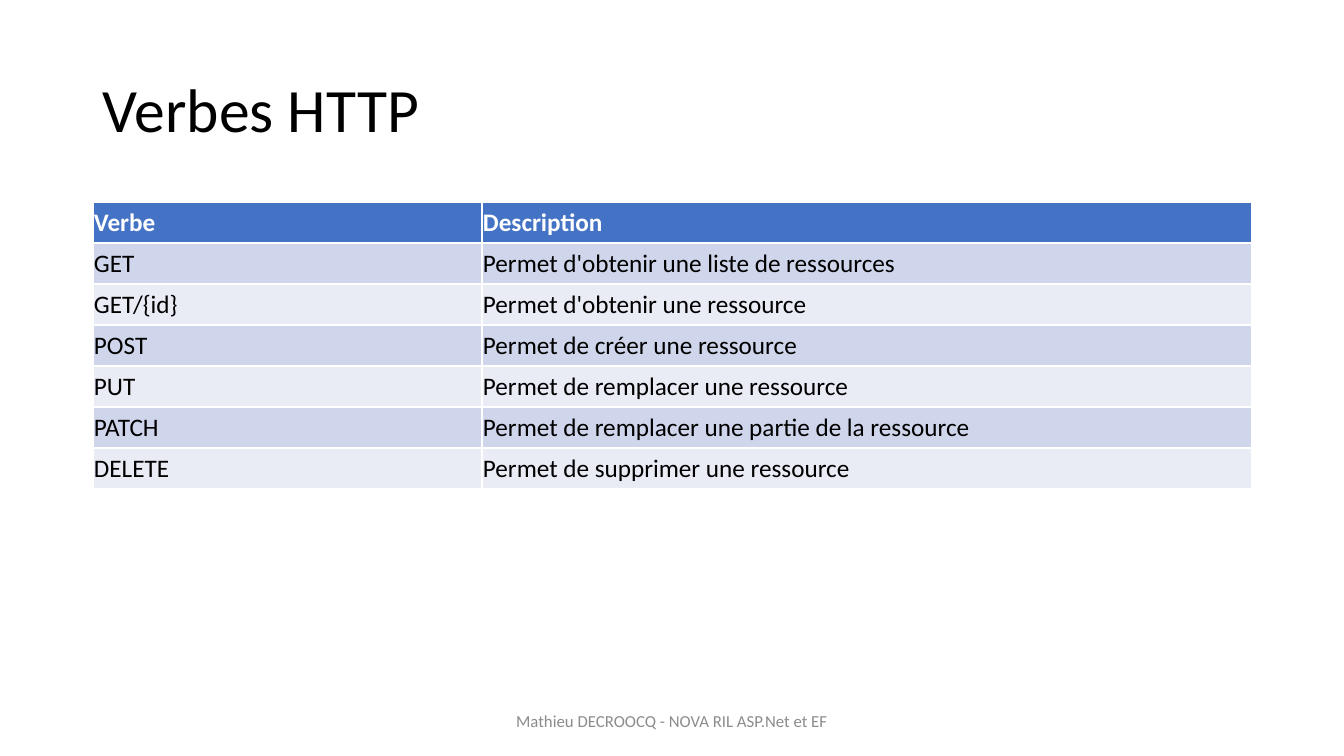
"""Build the slide that lists the HTTP verbs in a table."""
from pptx import Presentation
from pptx.dml.color import RGBColor as RGB
from pptx.enum.text import MSO_ANCHOR as Anchor, PP_ALIGN as Align
from pptx.util import Emu, Pt

BLACK = RGB(0x00, 0x00, 0x00)
WHITE = RGB(0xFF, 0xFF, 0xFF)
GRAY = RGB(0x8C, 0x8C, 0x8C)
BLUE = RGB(0x44, 0x72, 0xC4)
DARK = RGB(0xCF, 0xD5, 0xEA)
LIGHT = RGB(0xE9, 0xEB, 0xF5)

VERBS = [
    ("Verbe", "Description"),
    ("GET", "Permet d'obtenir une liste de ressources"),
    ("GET/{id}", "Permet d'obtenir une ressource"),
    ("POST", "Permet de créer une ressource"),
    ("PUT", "Permet de remplacer une ressource"),
    ("PATCH", "Permet de remplacer une partie de la ressource"),
    ("DELETE", "Permet de supprimer une ressource"),
]


def px(count):
    return Emu(round(count * 914400 / 100.8))


def write(frame, text, size, color, bold=False):
    para = frame.paragraphs[0]
    para.text = text
    font = para.font
    font.name = "Calibri"
    font.size = Pt(size)
    font.bold = bold
    font.color.rgb = color
    return para


deck = Presentation()
deck.slide_width, deck.slide_height = px(1344), px(756)
slide = deck.slides.add_slide(deck.slide_layouts[6])
shapes = slide.shapes

title = shapes.add_textbox(px(93), px(40), px(1159), px(146)).text_frame
title.word_wrap = True
title.vertical_anchor = Anchor.MIDDLE
write(title, "Verbes HTTP", 44, BLACK).line_spacing = 0.9

table = shapes.add_table(len(VERBS), 2, px(93), px(202), px(1159), px(287)).table
for col, width in zip(table.columns, (389, 770)):
    col.width = px(width)

for r, texts in enumerate(VERBS):
    table.rows[r].height = px(41)
    head = r == 0
    fill = BLUE if head else DARK if r % 2 else LIGHT
    for c, text in enumerate(texts):
        cell = table.cell(r, c)
        cell.fill.solid()
        cell.fill.fore_color.rgb = fill
        cell.vertical_anchor = Anchor.MIDDLE
        cell.margin_left = cell.margin_right = px(1)
        cell.margin_top = cell.margin_bottom = px(1)
        write(cell.text_frame, text, 18, WHITE if head else BLACK, head)

footer = shapes.add_textbox(px(445), px(701), px(454), px(40)).text_frame
footer.word_wrap = True
footer.vertical_anchor = Anchor.MIDDLE
line = write(footer, "Mathieu DECROOCQ - NOVA RIL ASP.Net et EF", 12, GRAY)
line.alignment = Align.CENTER

deck.save("out.pptx")
